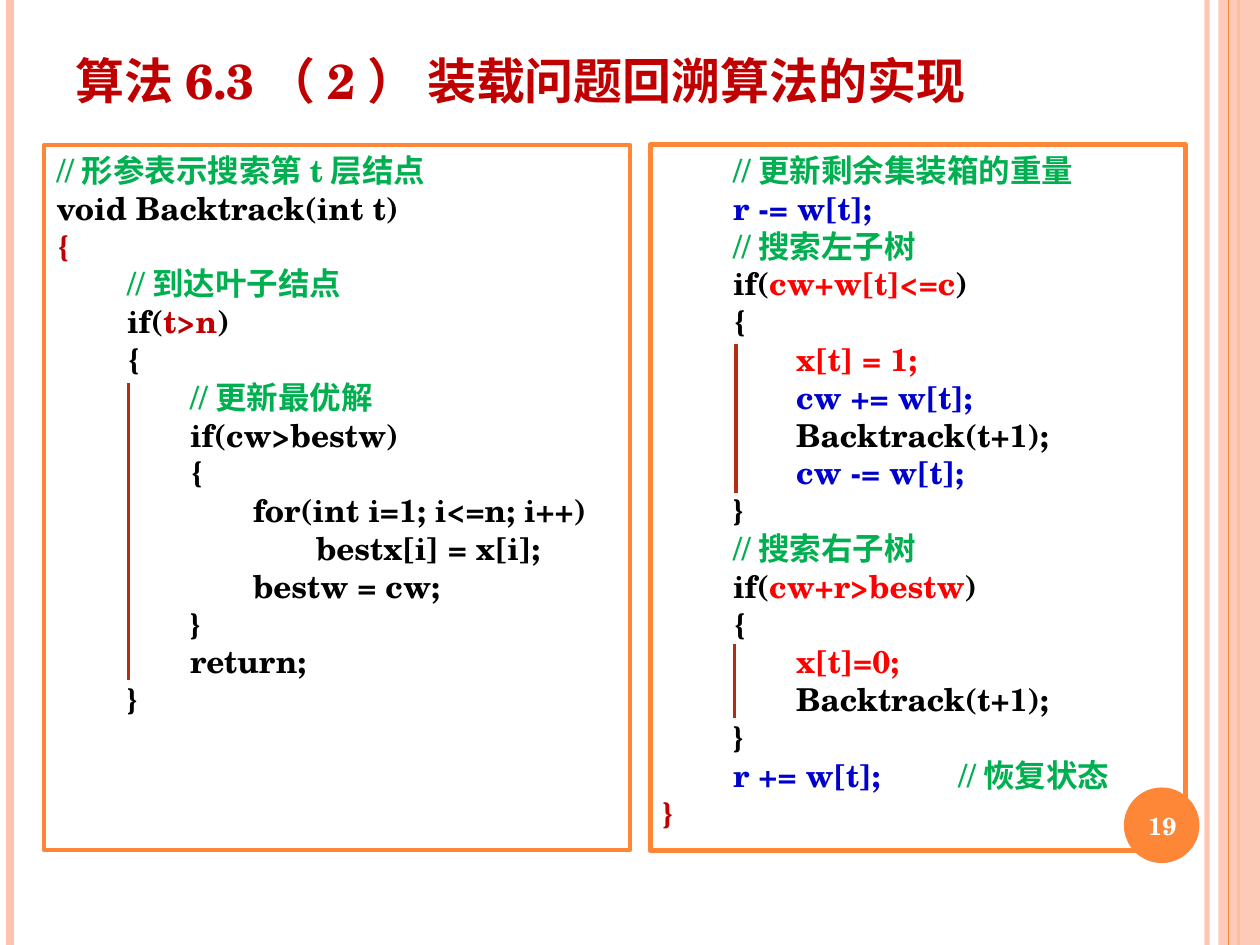
"""Build the slide on the backtracking solution of the loading problem."""
from lxml.etree import SubElement
from pptx import Presentation
from pptx.dml.color import RGBColor
from pptx.enum.shapes import MSO_CONNECTOR, MSO_SHAPE
from pptx.enum.text import MSO_ANCHOR, PP_ALIGN
from pptx.oxml.ns import qn
from pptx.util import Inches, Pt

THEME = {
    "font": "TeX Gyre Schola",
    "sizes": {"title": 28, "code": 18, "number": 14},
    "colours": {
        "black": "000000", "white": "FFFFFF", "crimson": "C00000",
        "green": "00B050", "blue": "0000CC", "red": "FF0000",
        "orange": "FE8637", "peach": "FEC3AE", "rust": "B32C16",
    },
}
COLOURS = {name: RGBColor.from_string(code) for name, code in THEME["colours"].items()}
INDENT = "　　"

deck = Presentation()
deck.slide_width, deck.slide_height = Inches(10), Inches(7.5)
COLUMN, ROW = deck.slide_width / 100, deck.slide_height / 75
page = deck.slides.add_slide(deck.slide_layouts[6])


def add_line(column, top, bottom, colour, width, opacity=100):
    line = page.shapes.add_connector(
        MSO_CONNECTOR.STRAIGHT, int(column * COLUMN), int(top * ROW),
        int(column * COLUMN), int(bottom * ROW))
    line.line.color.rgb = COLOURS[colour]
    line.line.width = Pt(width)
    properties = line._element.spPr
    SubElement(properties, qn("a:effectLst"))
    if opacity < 100:
        shade = properties.find(".//" + qn("a:srgbClr"))
        SubElement(shade, qn("a:alpha"), val=str(opacity * 1000))


def write_text(box, size, lines, anchor, alignment=PP_ALIGN.LEFT):
    frame = box.text_frame
    layout = {"word_wrap": True, "vertical_anchor": anchor,
              "margin_left": COLUMN, "margin_right": COLUMN,
              "margin_top": ROW / 2, "margin_bottom": ROW / 2}
    for name, value in layout.items():
        setattr(frame, name, int(value) if name.startswith("margin") else value)
    for index, (level, *spans) in enumerate(lines):
        para = frame.paragraphs[0] if index == 0 else frame.add_paragraph()
        para.alignment = alignment
        for position, (text, colour) in enumerate(spans):
            span = para.add_run()
            span.text = INDENT * level + text if position == 0 else text
            style = {"name": THEME["font"], "size": Pt(THEME["sizes"][size]), "bold": True}
            for name, value in style.items():
                setattr(span.font, name, value)
            span.font.color.rgb = COLOURS[colour]


for column, colour, width, opacity in [
    (95.8, "peach", 3, 93), (0.8, "peach", 4.5, 100), (98.3, "orange", 1.5, 100),
]:
    add_line(column, 0, 75, colour, width, opacity)

band = page.shapes.add_shape(
    MSO_SHAPE.RECTANGLE, int(96.7 * COLUMN), 0, int(3.3 * COLUMN), deck.slide_height)
add_line(97.5, 0, 75, "orange", 0.75)
badge = page.shapes.add_shape(
    MSO_SHAPE.OVAL, int(89.2 * COLUMN), int(62.5 * ROW), int(6 * COLUMN), int(6 * ROW))
for shape, colour in [(band, "peach"), (badge, "orange")]:
    shape.shadow.inherit = False
    shape.fill.solid()
    shape.fill.fore_color.rgb = COLOURS[colour]
    shape.line.fill.background()
band_shade = band._element.spPr.find(".//" + qn("a:srgbClr"))
SubElement(band_shade, qn("a:alpha"), val="87000")

title = page.shapes.add_textbox(
    int(5 * COLUMN), int(1.3 * ROW), int(89.9 * COLUMN), int(7.9 * ROW))
write_text(title, "title", [(0, ("算法6.3（2） 装载问题回溯算法的实现", "crimson"))],
           MSO_ANCHOR.BOTTOM)

leaf_code = [
    (0, ("//形参表示搜索第t层结点", "green")),
    (0, ("void Backtrack(int t)", "black")),
    (0, ("{", "crimson")),
    (1, ("//到达叶子结点", "green")),
    (1, ("if(", "black"), ("t>n", "crimson"), (")", "black")),
    (1, ("{", "black")),
    (2, ("//更新最优解", "green")),
    (2, ("if(cw>bestw)", "black")),
    (2, ("{", "black")),
    (3, ("for(int i=1; i<=n; i++)", "black")),
    (4, ("bestx[i] = x[i];", "black")),
    (3, ("bestw = cw;", "black")),
    (2, ("}", "black")),
    (2, ("return;", "black")),
    (1, ("}", "black")),
]
subtree_code = [
    (1, ("//更新剩余集装箱的重量", "green")),
    (1, ("r -= w[t];", "blue")),
    (1, ("//搜索左子树", "green")),
    (1, ("if(", "black"), ("cw+w[t]<=c", "red"), (")", "black")),
    (1, ("{", "black")),
    (2, ("x[t] = 1;", "red")),
    (2, ("cw += w[t];", "blue")),
    (2, ("Backtrack(t+1);", "black")),
    (2, ("cw -= w[t];", "blue")),
    (1, ("}", "black")),
    (1, ("//搜索右子树", "green")),
    (1, ("if(", "black"), ("cw+r>bestw", "red"), (")", "black")),
    (1, ("{", "black")),
    (2, ("x[t]=0;", "red")),
    (2, ("Backtrack(t+1);", "black")),
    (1, ("}", "black")),
    (1, ("r += w[t];　　", "blue"), ("//恢复状态", "green")),
    (0, ("}", "crimson")),
]
for left, width, border, code in [(3.5, 46.5, 2.25, leaf_code), (51.6, 42.5, 3, subtree_code)]:
    panel = page.shapes.add_shape(
        MSO_SHAPE.RECTANGLE, int(left * COLUMN), int(11.5 * ROW),
        int(width * COLUMN), int(56 * ROW))
    panel.shadow.inherit = False
    panel.fill.background()
    panel.line.color.rgb = COLOURS["orange"]
    panel.line.width = Pt(border)
    write_text(panel, "code", code, MSO_ANCHOR.TOP)

number = page.shapes.add_textbox(
    int(88.9 * COLUMN), int(62.7 * ROW), int(6.7 * COLUMN), int(5.7 * ROW))
write_text(number, "number", [(0, ("19", "white"))], MSO_ANCHOR.MIDDLE, PP_ALIGN.CENTER)

for column, top, bottom in [(10.2, 30.4, 54), (58.4, 27.3, 39.1), (58.3, 51.1, 57)]:
    add_line(column, top, bottom, "rust", 2)

deck.save("out.pptx")
